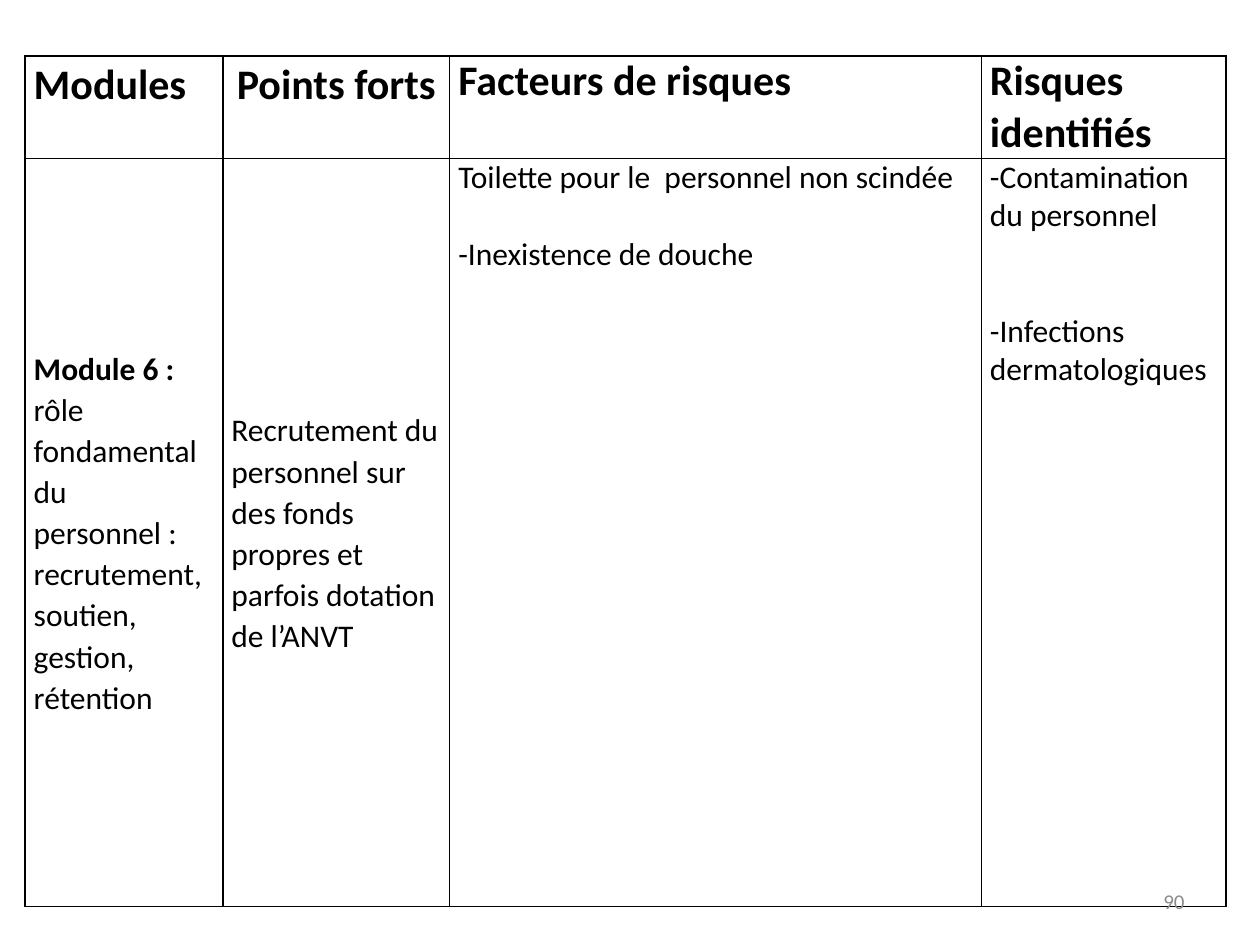
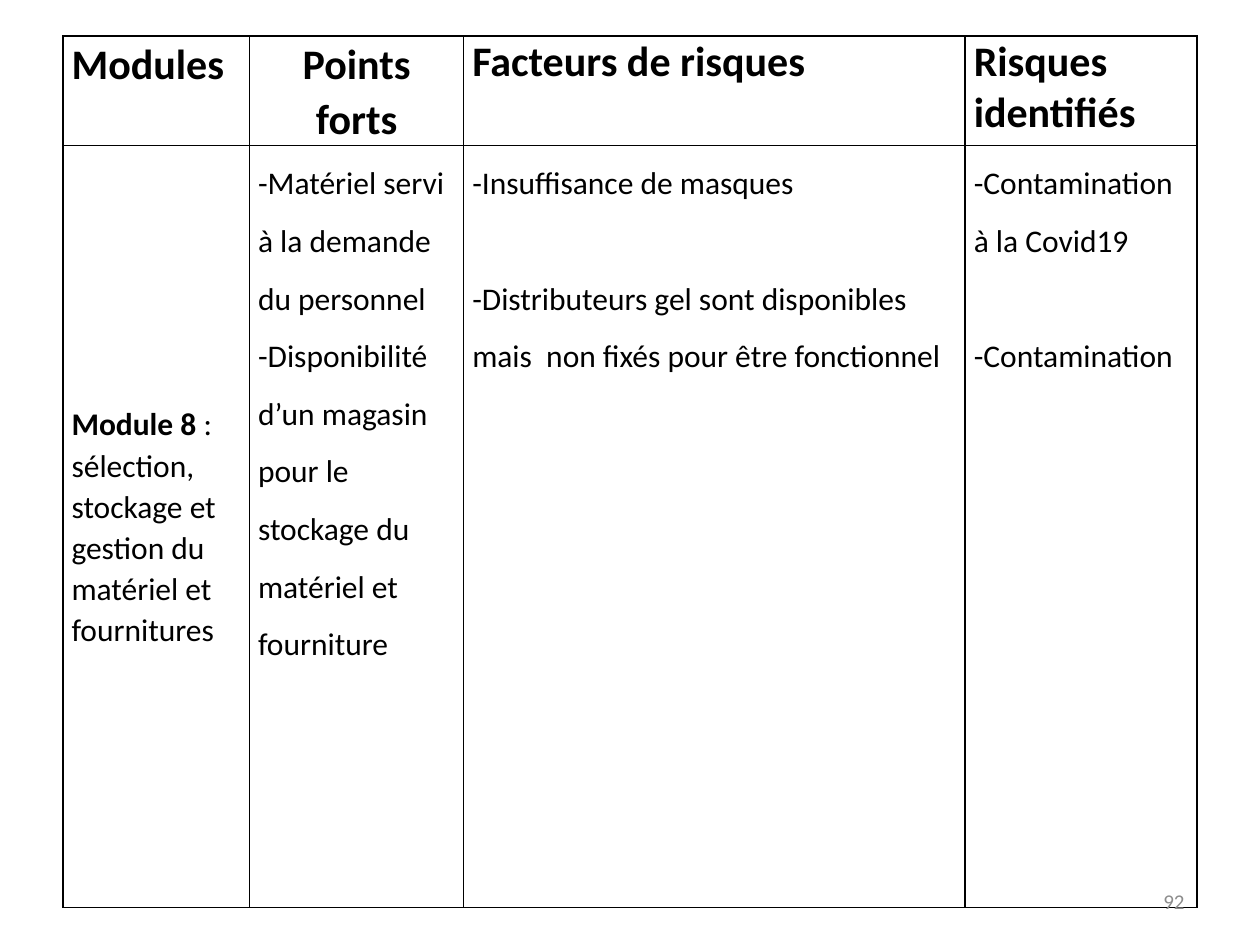
"""Build two slides of module risk tables."""
from dataclasses import dataclass

from lxml import etree
from pptx import Presentation
from pptx.dml.color import RGBColor
from pptx.enum.text import MSO_ANCHOR, PP_ALIGN
from pptx.oxml.ns import qn
from pptx.util import Pt

TOP, MIDDLE = MSO_ANCHOR.TOP, MSO_ANCHOR.MIDDLE
LEFT, CENTER, RIGHT = PP_ALIGN.LEFT, PP_ALIGN.CENTER, PP_ALIGN.RIGHT

BLACK = RGBColor(0x00, 0x00, 0x00)
GREY = RGBColor(0x8C, 0x8C, 0x8C)
FONT = "Calibri"
HEADER_SIZE, BODY_SIZE, NUMBER_SIZE = 24, 18, 12
CELL_MARGIN = Pt(4.9)
LOOSE = 1.07
WIDE = 1.5
BLANK_LAYOUT = 6


@dataclass(frozen=True)
class Para:
    text: str
    lead: str = ""
    before: float = 0


@dataclass(frozen=True)
class Cell:
    paras: tuple[Para, ...]
    spacing: float = 1.0
    anchor: MSO_ANCHOR = TOP
    align: PP_ALIGN = LEFT
    size: int = BODY_SIZE
    bold: bool = False


@dataclass(frozen=True)
class RiskTable:
    left: float
    top: float
    columns: tuple[float, ...]
    rows: tuple[float, float]
    body: tuple[Cell, ...]
    number: str


def heading(text: str, spacing: float = 1.0, align: PP_ALIGN = LEFT) -> Cell:
    return Cell((Para(text),), spacing, align=align, size=HEADER_SIZE, bold=True)


HEADER = (
    heading("Modules", LOOSE),
    heading("Points forts", LOOSE, CENTER),
    heading("Facteurs de risques"),
    heading("Risques identifiés"),
)

TABLES = (
    RiskTable(
        14.4, 32, (113, 129.6, 303.8, 139.7), (58.5, 427.5),
        (
            Cell((Para("rôle fondamental du personnel : recrutement, soutien, "
                       "gestion, rétention", lead="Module 6 : "),), LOOSE, MIDDLE),
            Cell((Para("Recrutement du personnel sur des fonds propres et "
                       "parfois dotation de l’ANVT"),), LOOSE, MIDDLE),
            Cell((Para("Toilette pour le  personnel non scindée"),
                  Para("-Inexistence de douche", before=22))),
            Cell((Para("-Contamination du personnel"),
                  Para("-Infections dermatologiques", before=44))),
        ),
        "90",
    ),
    RiskTable(
        36, 20.7, (106.6, 122.4, 286.6, 132.5), (62.5, 435.5),
        (
            Cell((Para(" : sélection, stockage et gestion du matériel et "
                       "fournitures", lead="Module 8"),), LOOSE, MIDDLE),
            Cell((Para("-Matériel servi à la demande du personnel"),
                  Para("-Disponibilité d’un magasin pour le stockage du "
                       "matériel et fourniture")), WIDE),
            Cell((Para("-Insuffisance de masques"),
                  Para("-Distributeurs gel sont disponibles mais  non fixés "
                       "pour être fonctionnel", before=33)), WIDE),
            Cell((Para("-Contamination à la Covid19"),
                  Para("-Contamination", before=33)), WIDE),
        ),
        "92",
    ),
)


def set_font(font, size: int, color: RGBColor) -> None:
    font.name, font.size = FONT, Pt(size)
    font.color.rgb = color


def add_borders(cell) -> None:
    tc_pr = cell._tc.get_or_add_tcPr()
    for index, side in enumerate(("lnL", "lnR", "lnT", "lnB")):
        line = etree.Element(qn(f"a:{side}"), w=str(Pt(1)))
        fill = etree.SubElement(line, qn("a:solidFill"))
        etree.SubElement(fill, qn("a:srgbClr"), val=str(BLACK))
        tc_pr.insert(index, line)


def fill_cell(cell, content: Cell) -> None:
    cell.margin_left = cell.margin_right = CELL_MARGIN
    cell.margin_top = cell.margin_bottom = Pt(0)
    cell.vertical_anchor = content.anchor
    cell.fill.background()
    add_borders(cell)
    tf = cell.text_frame
    for index, para in enumerate(content.paras):
        p = tf.paragraphs[0] if index == 0 else tf.add_paragraph()
        p.alignment, p.line_spacing = content.align, content.spacing
        p.space_before = Pt(para.before)
        set_font(p.font, content.size, BLACK)
        if para.lead:
            r = p.add_run()
            r.text, r.font.bold = para.lead, True
        else:
            p.font.bold = content.bold
        p.add_run().text = para.text


def add_risk_table(s, spec: RiskTable) -> None:
    rows = (HEADER, spec.body)
    table = s.shapes.add_table(
        len(rows), len(HEADER), Pt(spec.left), Pt(spec.top),
        Pt(sum(spec.columns)), Pt(sum(spec.rows))).table
    table.first_row = table.horz_banding = False
    for column, width in zip(table.columns, spec.columns):
        column.width = Pt(width)
    for row, height, contents in zip(table.rows, spec.rows, rows):
        row.height = Pt(height)
        for cell, content in zip(row.cells, contents):
            fill_cell(cell, content)


def add_page_number(s, number: str) -> None:
    tf = s.shapes.add_textbox(Pt(516), Pt(500.5), Pt(168), Pt(28.75)).text_frame
    tf.word_wrap, tf.vertical_anchor = True, MIDDLE
    p = tf.paragraphs[0]
    p.text, p.alignment = number, RIGHT
    set_font(p.font, NUMBER_SIZE, GREY)


def main() -> None:
    prs = Presentation()
    prs.slide_width, prs.slide_height = Pt(720), Pt(540)
    for spec in TABLES:
        s = prs.slides.add_slide(prs.slide_layouts[BLANK_LAYOUT])
        add_risk_table(s, spec)
        add_page_number(s, spec.number)
    prs.save("out.pptx")


if __name__ == "__main__":
    main()
